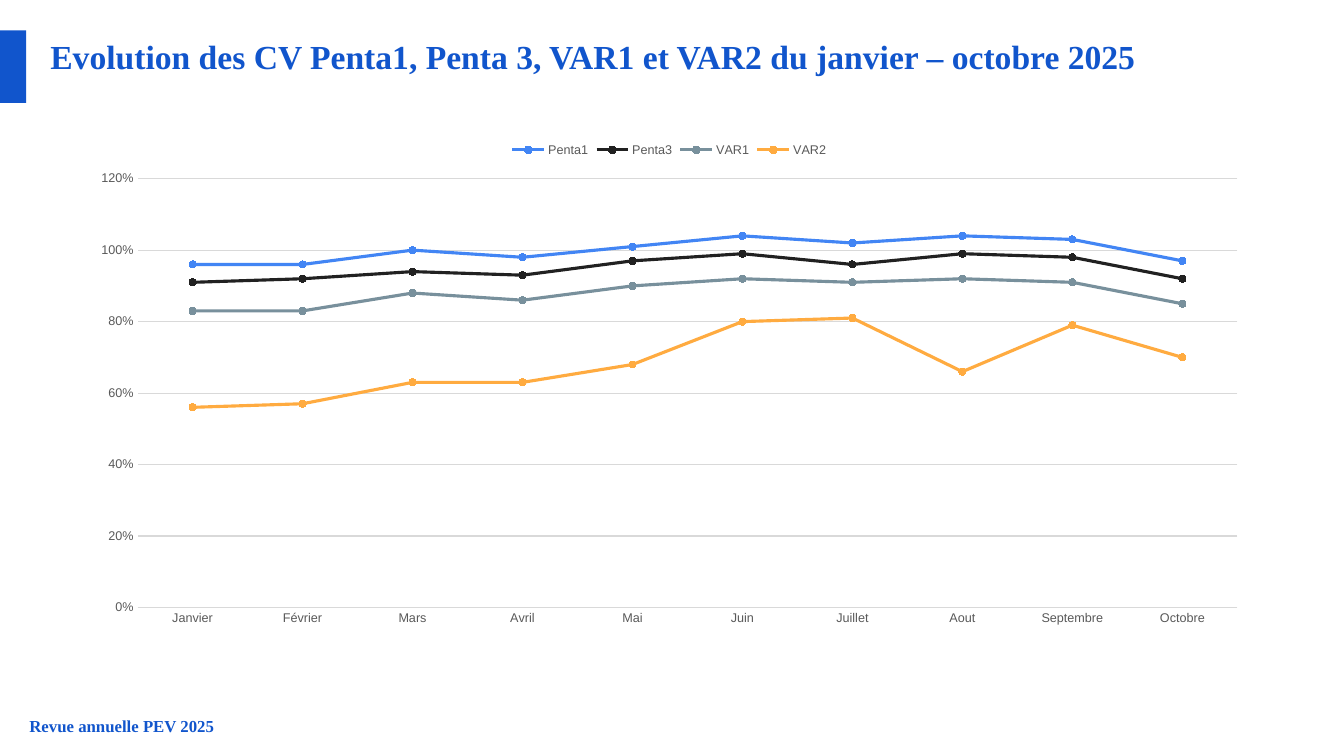
from pptx import Presentation
from pptx.chart.data import CategoryChartData
from pptx.dml.color import RGBColor
from pptx.enum.chart import XL_CHART_TYPE, XL_LEGEND_POSITION, XL_MARKER_STYLE, XL_TICK_MARK
from pptx.enum.shapes import MSO_SHAPE
from pptx.util import Pt

LINE_MARKERS = XL_CHART_TYPE.LINE_MARKERS
LEGEND_TOP = XL_LEGEND_POSITION.TOP
CIRCLE = XL_MARKER_STYLE.CIRCLE
NO_TICK = XL_TICK_MARK.NONE
RECTANGLE = MSO_SHAPE.RECTANGLE

EMU_PER_PX = 9525
SLIDE_SIZE = (1280, 720)
COLORS = {
    "accent": "1155CC", "text": "000000", "label": "595959", "grid": "D9D9D9",
    "Penta1": "4285F4", "Penta3": "212121", "VAR1": "78909C", "VAR2": "FFAB40",
}

# text, box (left, top, width, height) in px, size in points
TEXTS = [
    ("Evolution des CV Penta1, Penta 3, VAR1 et VAR2 du janvier – octobre 2025",
     (48, 34, 1201, 77), 24),
    ("Revue annuelle PEV 2025", (28, 682, 1198, 19), 12),
]
ACCENT_BAR = (0, 29, 25, 69)
CHART_BOX = (74, 125, 1127, 481)

MONTHS = ["Janvier", "Février", "Mars", "Avril", "Mai", "Juin", "Juillet",
          "Aout", "Septembre", "Octobre"]
COVERAGE = {
    "Penta1": [0.96, 0.96, 1, 0.98, 1.01, 1.04, 1.02, 1.04, 1.03, 0.97],
    "Penta3": [0.91, 0.92, 0.94, 0.93, 0.97, 0.99, 0.96, 0.99, 0.98, 0.92],
    "VAR1": [0.83, 0.83, 0.88, 0.86, 0.9, 0.92, 0.91, 0.92, 0.91, 0.85],
    "VAR2": [0.56, 0.57, 0.63, 0.63, 0.68, 0.8, 0.81, 0.66, 0.79, 0.7],
}


def px(box):
    return [value * EMU_PER_PX for value in box]


def color(name):
    return RGBColor.from_string(COLORS[name])


def style_font(font, name, size, color_name):
    font.name = name
    font.size = Pt(size)
    font.color.rgb = color(color_name)


def style_line(line, color_name, width):
    line.color.rgb = color(color_name)
    line.width = Pt(width)


def add_text(page, text, box, size):
    frame = page.shapes.add_textbox(*px(box)).text_frame
    frame.word_wrap = True
    frame.margin_left = frame.margin_top = frame.margin_right = frame.margin_bottom = 0
    frame.text = text
    font = frame.paragraphs[0].runs[0].font
    style_font(font, "Times New Roman", size, "accent")
    font.bold = True


def add_accent_bar(page):
    bar = page.shapes.add_shape(RECTANGLE, *px(ACCENT_BAR))
    bar.shadow.inherit = False
    bar.fill.solid()
    bar.fill.fore_color.rgb = color("accent")
    bar.line.fill.background()


def add_coverage_chart(page):
    data = CategoryChartData(number_format="0%")
    data.categories = MONTHS
    for name, values in COVERAGE.items():
        data.add_series(name, values)
    chart = page.shapes.add_chart(LINE_MARKERS, *px(CHART_BOX), data).chart
    chart.has_title = False
    style_font(chart.font, "Arial", 10, "text")

    chart.has_legend = True
    chart.legend.position = LEGEND_TOP
    chart.legend.include_in_layout = False

    months, rates = chart.category_axis, chart.value_axis
    for axis in (months, rates):
        axis.major_tick_mark = axis.minor_tick_mark = NO_TICK
    for part in (chart.legend, months.tick_labels, rates.tick_labels):
        style_font(part.font, "Arial", 9, "label")
    style_line(months.format.line, "grid", 0.75)

    rates.minimum_scale, rates.maximum_scale, rates.major_unit = 0, 1.2, 0.2
    rates.has_major_gridlines = True
    style_line(rates.major_gridlines.format.line, "grid", 0.75)
    rates.format.line.fill.background()
    rates.tick_labels.number_format = "0%"
    rates.tick_labels.number_format_is_linked = False

    plot = chart.plots[0]
    plot.vary_by_categories = False
    for series in plot.series:
        series.smooth = False
        style_line(series.format.line, series.name, 2.25)
        marker = series.marker
        marker.style = CIRCLE
        marker.size = 5
        marker.format.fill.solid()
        marker.format.fill.fore_color.rgb = color(series.name)
        style_line(marker.format.line, series.name, 0.75)


def main():
    deck = Presentation()
    deck.slide_width, deck.slide_height = px(SLIDE_SIZE)
    page = deck.slides.add_slide(deck.slide_layouts[6])
    add_accent_bar(page)
    for text, box, size in TEXTS:
        add_text(page, text, box, size)
    add_coverage_chart(page)
    deck.save("out.pptx")


if __name__ == "__main__":
    main()
